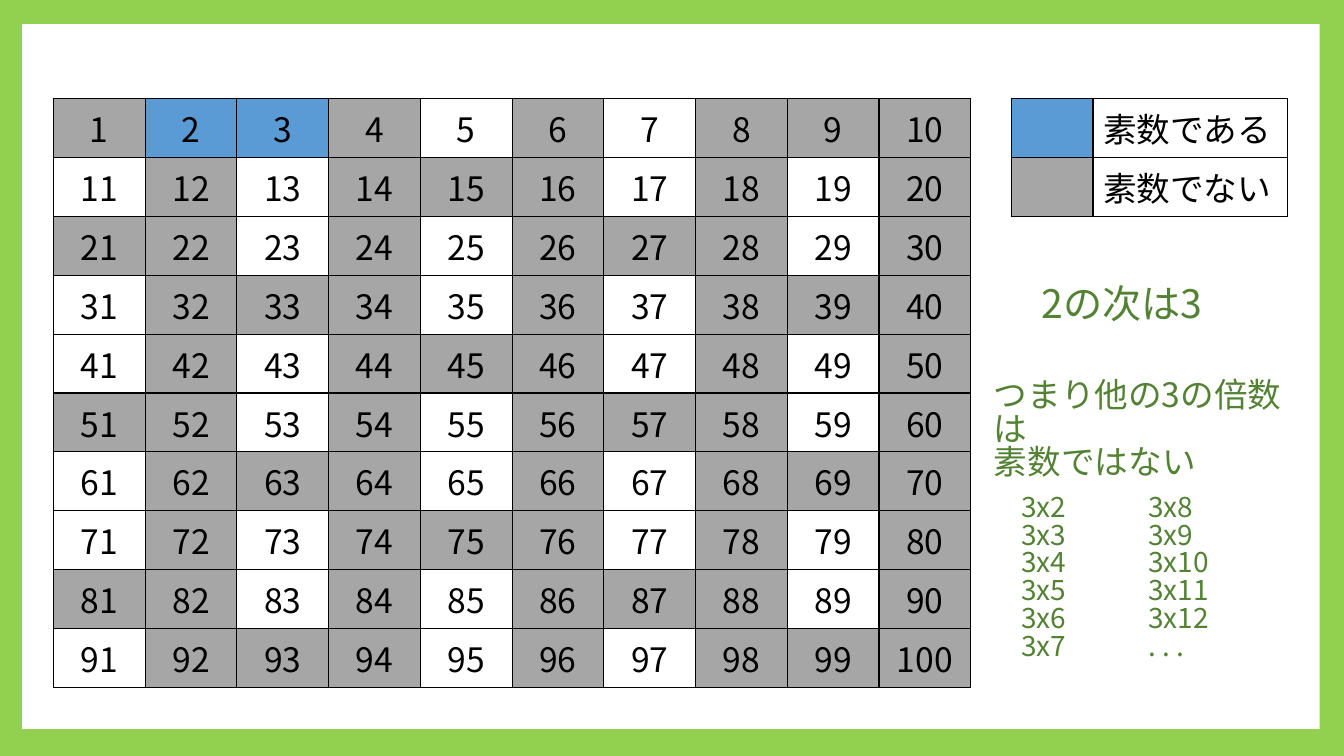
from pptx import Presentation
from pptx.dml.color import RGBColor
from pptx.enum.shapes import MSO_SHAPE
from pptx.enum.text import MSO_ANCHOR, PP_ALIGN
from pptx.util import Inches, Pt
from lxml.etree import SubElement
from pptx.oxml.ns import qn

FONT = "Noto Sans CJK JP"
HUES = {"edge": "92D050", "page": "FFFFFF", "prime": "5B9BD5",
        "out": "A6A6A6", "ink": "000000", "note": "548235"}
COLOR = {name: RGBColor.from_string(hue) for name, hue in HUES.items()}


def write(frame, text, size=24, color="ink", align=PP_ALIGN.LEFT, space=None):
    frame.text = text
    for para in frame.paragraphs:
        para.alignment = align
        para.line_spacing = space
        for run in para.runs:
            run.font.size = Pt(size)
            run.font.name = FONT
            run.font.color.rgb = COLOR[color]
            SubElement(run.font._element, qn("a:ea"), typeface=FONT)


def draw_table(left, widths, rows, align):
    """Draw rows of (text, fill name or None) as a table with black rules."""
    frame = slide.shapes.add_table(len(rows), len(widths), Inches(left), Inches(0.98),
                                   Inches(sum(widths)), Inches(0.58 * len(rows)))
    table = frame.table
    table.first_row = table.horz_banding = False
    for col, width in zip(table.columns, widths):
        col.width = Inches(width)
    for r, row in enumerate(rows):
        for c, (text, fill) in enumerate(row):
            cell = table.cell(r, c)
            cell.vertical_anchor = MSO_ANCHOR.MIDDLE
            write(cell.text_frame, text, align=align)
            props = cell._tc.get_or_add_tcPr()
            for side in ("lnL", "lnR", "lnT", "lnB"):
                line = SubElement(props, qn(f"a:{side}"), w=str(Pt(1)))
                solid = SubElement(line, qn("a:solidFill"))
                SubElement(solid, qn("a:srgbClr"), val=HUES["ink"])
            if fill:
                cell.fill.solid()
                cell.fill.fore_color.rgb = COLOR[fill]
            else:
                cell.fill.background()


prs = Presentation()
prs.slide_width, prs.slide_height = Inches(13.33), Inches(7.5)
slide = prs.slides.add_slide(prs.slide_layouts[6])
back = slide.background.fill
back.solid()
back.fore_color.rgb = COLOR["edge"]

page = slide.shapes.add_shape(MSO_SHAPE.RECTANGLE, Inches(0.22), Inches(0.24),
                              Inches(12.87), Inches(6.99))
page.shadow.inherit = False
page.fill.solid()
page.fill.fore_color.rgb = COLOR["page"]
page.line.fill.background()

# Sieve after 2 and 3: their multiples are out, and so is 1
fills = {}
for num in range(1, 101):
    if num in (2, 3):
        fills[num] = "prime"
    elif num == 1 or num % 2 == 0 or num % 3 == 0:
        fills[num] = "out"
sieve = [[(str(num), fills.get(num)) for num in range(start, start + 10)]
         for start in range(1, 101, 10)]
draw_table(0.53, [0.91] * 10, sieve, PP_ALIGN.CENTER)

legend = [[("", "prime"), ("素数である", None)],
          [("", "out"), ("素数でない", None)]]
draw_table(10.03, [0.81, 1.93], legend, PP_ALIGN.LEFT)

low = [f"3x{num}" for num in range(2, 8)]
high = [f"3x{num}" for num in range(8, 13)] + [". . ."]
notes = [
    (10.23, 2.8, 1.9, 0.57, 28, ["2の次は3"]),
    (9.76, 3.73, 3.29, 0.91, 24, ["つまり他の3の倍数は", "素数ではない"]),
    (10.03, 4.86, 0.84, 2.12, 20, low),
    (11.29, 4.86, 0.95, 2.12, 20, high),
]
for left, top, width, height, size, lines in notes:
    box = slide.shapes.add_textbox(Inches(left), Inches(top), Inches(width), Inches(height))
    box.text_frame.word_wrap = True
    write(box.text_frame, "\n".join(lines), size=size, color="note", space=0.83)

prs.save("out.pptx")
